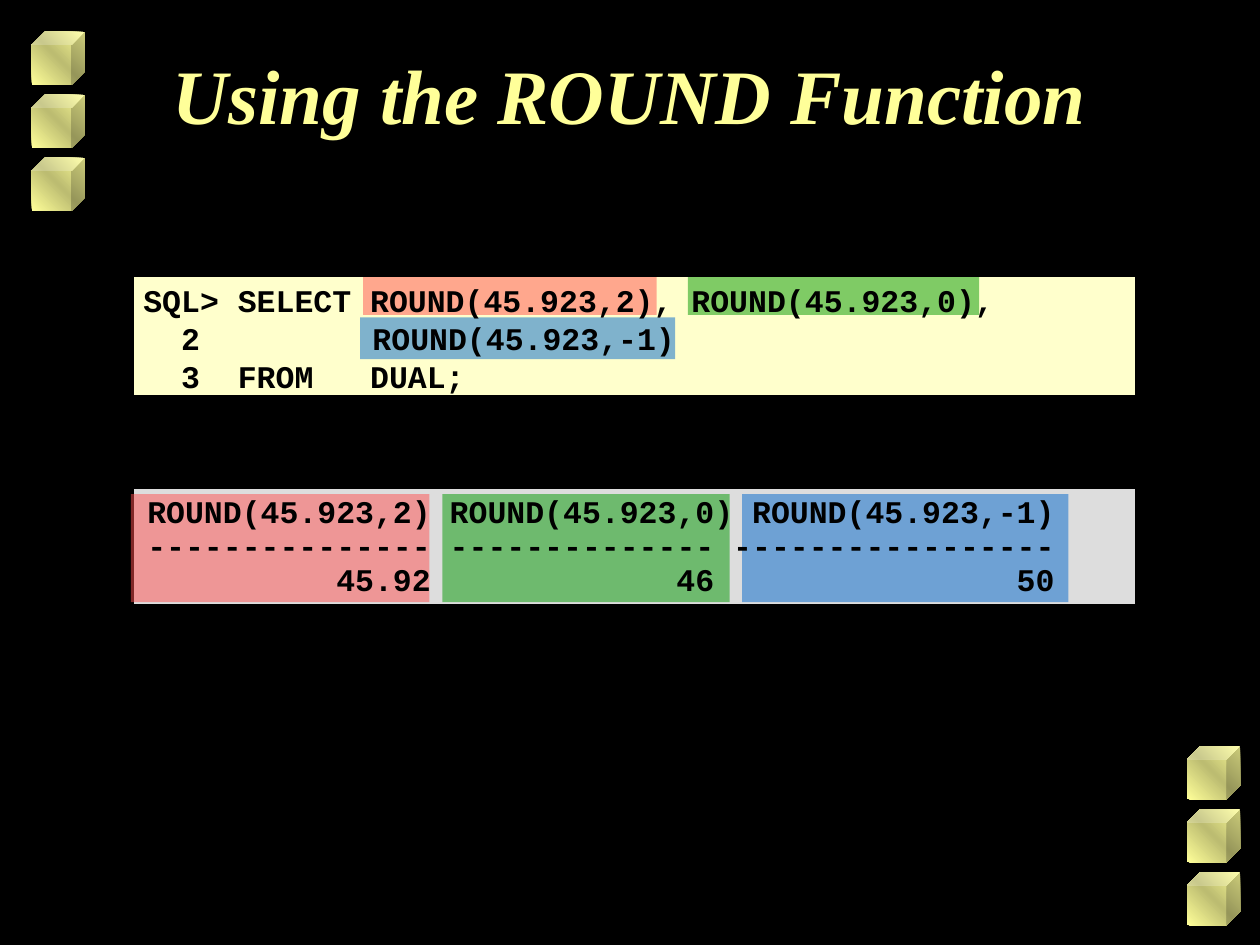
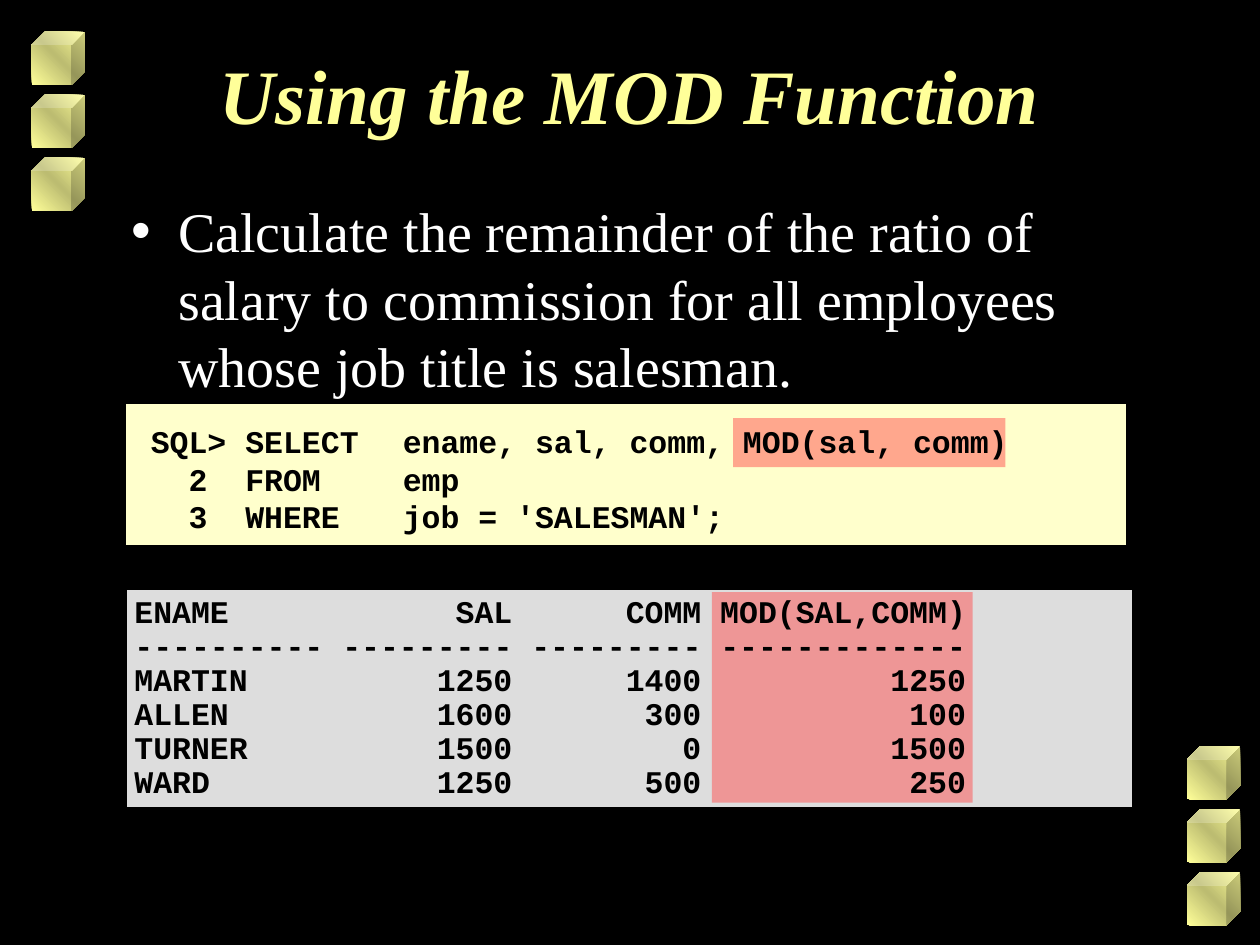
from copy import deepcopy

from lxml import etree
from pptx import Presentation
from pptx.dml.color import RGBColor
from pptx.enum import shapes, text
from pptx.oxml import ns
from pptx.util import Cm, Pt

COLORS = {
    "background": "000000", "title": "FFFF99", "body": "FFFFFF", "code": "000000",
    "cube_light": "FFFF99", "cube_dark": "BCBC71",
    "query": "FFFFCC", "result": "DDDDDD", "border": "000000",
    "red": "FF5050", "green": "009900", "blue": "0066CC",
}
TITLE_LAYOUT, LIST_LAYOUT = 5, 1
CHAR_WIDTH = 0.381  # cm, one 18 pt Courier New character


def rgb(name):
    return RGBColor.from_string(COLORS[name])


def cm(*lengths):
    return [Cm(length) for length in lengths]


class Deck:
    """Holds the shared style and the current slide."""

    serif, mono = "Times New Roman", "Courier New"

    def __init__(self):
        self.prs = Presentation()
        self.prs.slide_width, self.prs.slide_height = cm(25.4, 19.05)
        self.slide = None
        fill = self.prs.slide_master.background.fill
        fill.solid()
        fill.fore_color.rgb = rgb("background")

    def new_slide(self, layout, title):
        first = self.slide is None
        self.slide = self.prs.slides.add_slide(self.prs.slide_layouts[layout])
        if first:
            self.master_cubes()
        heading = self.slide.shapes.title
        self.place(heading, 1.9, 0.84, 21.6, 3.18)
        paragraph = heading.text_frame.paragraphs[0]
        paragraph.alignment = text.PP_ALIGN.CENTER
        self.run(paragraph, title, self.serif, 44, "title", bold=True, italic=True)

    def master_cubes(self):
        """Put a column of three cubes in two corners of the slide master."""
        corners = [(0.64, 0.64), (23.93, 15.04)]
        spots = [(left, top + 1.27 * row) for left, top in corners for row in range(3)]
        for number, (left, top) in enumerate(spots, 101):
            cube = self.slide.shapes.add_shape(
                shapes.MSO_SHAPE.CUBE, *cm(left, top, 1.07, 1.07))
            cube.shadow.inherit = False
            cube.line.fill.background()
            cube.fill.gradient()
            cube.fill.gradient_angle = 45
            stop_list = cube.element.xpath(".//a:gsLst")[0]
            stop_list.append(deepcopy(stop_list[-1]))
            shades = ("cube_light", "cube_dark", "cube_light")
            for step, (stop, shade) in enumerate(zip(cube.fill.gradient_stops, shades)):
                stop.position = step / 2
                stop.color.rgb = rgb(shade)
            cube.element.nvSpPr.cNvPr.set("id", str(number))
            self.prs.slide_master.shapes.element.append(cube.element)

    def place(self, holder, left, top, width, height):
        holder.left, holder.top, holder.width, holder.height = cm(left, top, width, height)
        frame = holder.text_frame
        frame.word_wrap = True
        frame.auto_size = text.MSO_AUTO_SIZE.NONE
        frame.vertical_anchor = text.MSO_ANCHOR.TOP

    def run(self, paragraph, words, font, size, color, bold=False, italic=False):
        run = paragraph.add_run()
        run.text = words
        run.font.name, run.font.size = font, Pt(size)
        run.font.bold, run.font.italic = bold, italic
        run.font.color.rgb = rgb(color)

    def bullet(self, words, *box):
        body = self.slide.placeholders[1]
        self.place(body, *box)
        paragraph = body.text_frame.paragraphs[0]
        paragraph.space_before = Pt(0)
        props = paragraph._p.get_or_add_pPr()
        props.set("marL", str(Cm(0.95)))
        props.set("indent", str(-Cm(0.95)))
        etree.SubElement(props, ns.qn("a:buChar")).set("char", "•")
        self.run(paragraph, words, self.serif, 32, "body")

    def panel(self, color, *box):
        panel = self.slide.shapes.add_shape(shapes.MSO_SHAPE.RECTANGLE, *cm(*box))
        panel.shadow.inherit = False
        panel.fill.solid()
        panel.fill.fore_color.rgb = rgb(color)
        panel.line.color.rgb = rgb("border")
        panel.line.width = Pt(2)

    def highlight(self, color, *boxes):
        """Mark an expression and its result column in one half-transparent colour."""
        group = self.slide.shapes.add_group_shape()
        for box in boxes:
            mark = group.shapes.add_shape(shapes.MSO_SHAPE.RECTANGLE, *cm(*box))
            mark.shadow.inherit = False
            mark.line.fill.background()
            mark.fill.solid()
            mark.fill.fore_color.rgb = rgb(color)
            shade = mark.element.xpath("./p:spPr/a:solidFill/a:srgbClr")[0]
            etree.SubElement(shade, ns.qn("a:alpha")).set("val", "50000")

    def listing(self, lines, box, tabs, align="l", spacing=None, middle=False):
        """Write monospaced lines; tabs are (cm) positions from the text edge."""
        listing = self.slide.shapes.add_textbox(*cm(*box))
        self.place(listing, *box)
        if middle:
            listing.text_frame.vertical_anchor = text.MSO_ANCHOR.MIDDLE
        for row, line in enumerate(lines):
            frame = listing.text_frame
            paragraph = frame.add_paragraph() if row else frame.paragraphs[0]
            if spacing:
                paragraph.line_spacing = spacing
            tab_list = etree.SubElement(paragraph._p.get_or_add_pPr(), ns.qn("a:tabLst"))
            for position in tabs:
                tab = etree.SubElement(tab_list, ns.qn("a:tab"))
                tab.set("pos", str(Cm(position)))
                tab.set("algn", align)
            self.run(paragraph, line, self.mono, 18, "code", bold=True)

    def result(self, lines, box, column_ends):
        """Write query output with columns right-aligned at character positions."""
        tabs = [end * CHAR_WIDTH for end in column_ends]
        self.listing(lines, box, tabs, align="r", spacing=0.9)


def round_slide(deck):
    deck.new_slide(TITLE_LAYOUT, "Using the ROUND Function")
    deck.panel("result", 2.67, 9.83, 20.24, 2.39)
    deck.panel("query", 2.67, 5.54, 20.24, 2.46)
    deck.highlight("red", (2.64, 9.96, 6.02, 2.18), (7.32, 5.59, 5.92, 0.76))
    deck.highlight("green", (8.92, 9.96, 5.79, 2.18), (13.87, 5.59, 5.87, 0.76))
    deck.highlight("blue", (14.96, 9.96, 6.58, 2.18), (7.26, 6.4, 6.35, 0.84))
    deck.listing([
        "SQL> SELECT ROUND(45.923,2), ROUND(45.923,0),",
        "  2\tROUND(45.923,-1)",
        "  3  FROM   DUAL;",
    ], (2.64, 4.62, 20.32, 4.39), tabs=[4.62], middle=True)
    deck.result([
        "ROUND(45.923,2) ROUND(45.923,0) ROUND(45.923,-1)",
        "--------------- -------------- -----------------",
        "\t45.92\t46\t50",
    ], (2.72, 9.88, 20.17, 2.31), column_ends=[15, 30, 48])


def mod_slide(deck):
    deck.new_slide(LIST_LAYOUT, "Using the MOD Function")
    deck.bullet("Calculate the remainder of the ratio of salary to commission "
                "for all employees whose job title is salesman.",
                2.39, 3.84, 20.52, 4.32)
    deck.panel("result", 2.53, 11.86, 20.32, 4.45)
    deck.panel("query", 2.5, 8.1, 20.24, 2.92)
    deck.highlight("red", (14.78, 8.43, 5.49, 0.99), (14.35, 11.94, 5.26, 4.24))
    deck.listing([
        "SQL> SELECT\tename, sal, comm, MOD(sal, comm)",
        "  2  FROM\temp",
        "  3  WHERE\tjob = 'SALESMAN';",
    ], (2.79, 8.38, 19.86, 3.91), tabs=[5.08])
    deck.result([
        "ENAME\tSAL\tCOMM\tMOD(SAL,COMM)",
        "---------- --------- --------- -------------",
        "MARTIN\t1250\t1400\t1250",
        "ALLEN\t1600\t300\t100",
        "TURNER\t1500\t0\t1500",
        "WARD\t1250\t500\t250",
    ], (2.46, 11.89, 20.24, 4.39), column_ends=[20, 30, 44])


def main():
    deck = Deck()
    round_slide(deck)
    mod_slide(deck)
    deck.prs.save("out.pptx")


if __name__ == "__main__":
    main()
